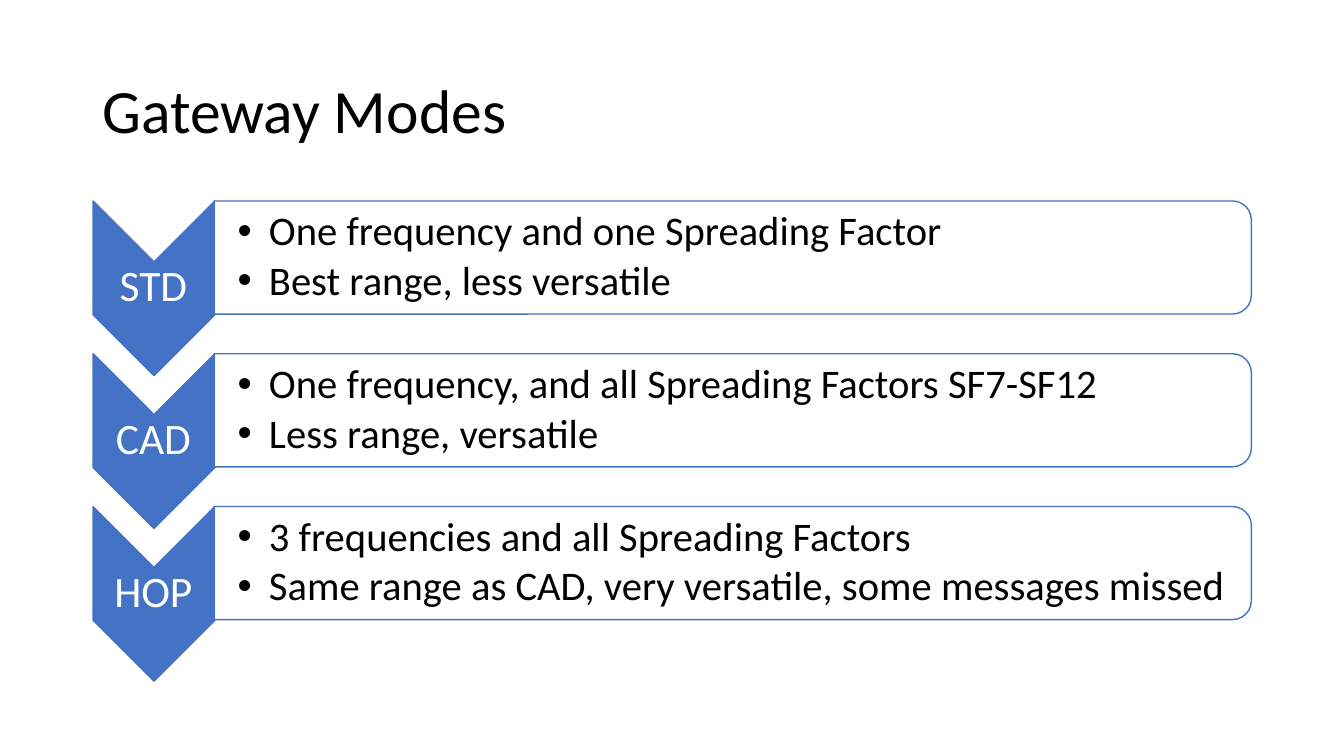
from dataclasses import dataclass

from lxml.etree import SubElement
from pptx import Presentation
from pptx.dml.color import RGBColor
from pptx.enum.shapes import MSO_SHAPE
from pptx.enum.text import MSO_ANCHOR, PP_ALIGN
from pptx.oxml.ns import qn
from pptx.util import Cm, Pt

COLOURS = {"accent": "4472C4", "panel": "FFFFFF", "label": "FFFFFF", "text": "000000"}
ROW_PITCH = 3.85
INDENT = 0.79


@dataclass(frozen=True)
class Area:
    left: float
    top: float
    width: float
    height: float

    def lowered(self, distance: float) -> "Area":
        return Area(self.left, self.top + distance, self.width, self.height)

    def lengths(self) -> tuple:
        return Cm(self.left), Cm(self.top), Cm(self.width), Cm(self.height)


@dataclass(frozen=True)
class Style:
    size: int
    colour: str
    left_inset: float
    inset: float
    align: PP_ALIGN = PP_ALIGN.LEFT
    space_after: int = 0
    bulleted: bool = False


@dataclass(frozen=True)
class Mode:
    name: str
    points: tuple[str, ...]


TITLE = Area(2.33, 1.01, 29.21, 3.68)
CHEVRON = Area(1.68, 5.73, 4.4, 3.07)
LABEL = Area(2.33, 6.59, 3.07, 1.32)
PANEL = Area(17.04, -6.58, 2.85, 26.14)
POINTS = Area(5.41, 5.2, 26.01, 2.57)

TITLE_STYLE = Style(44, "text", 0.25, 0.13)
LABEL_STYLE = Style(31, "label", 0.05, 0.05, PP_ALIGN.CENTER)
POINTS_STYLE = Style(29, "text", 0.58, 0.05, space_after=4, bulleted=True)

MODES = (
    Mode("STD", ("One frequency and one Spreading Factor", "Best range, less versatile")),
    Mode("CAD", ("One frequency, and all Spreading Factors SF7-SF12", "Less range, versatile")),
    Mode("HOP", ("3 frequencies and all Spreading Factors",
                 "Same range as CAD, very versatile, some messages missed")),
)


def colour(name: str) -> RGBColor:
    return RGBColor.from_string(COLOURS[name])


def apply(target, values: dict) -> None:
    for name, value in values.items():
        setattr(target, name, value)


def add_bullet(para) -> None:
    properties = para._p.get_or_add_pPr()
    properties.set("marL", str(Cm(INDENT)))
    properties.set("indent", str(-Cm(INDENT)))
    SubElement(properties, qn("a:buFont"), typeface="Arial")
    SubElement(properties, qn("a:buChar"), char="•")


def add_text(page, area: Area, lines: tuple[str, ...], style: Style) -> None:
    frame = page.shapes.add_textbox(*area.lengths()).text_frame
    apply(frame, {
        "word_wrap": True, "vertical_anchor": MSO_ANCHOR.MIDDLE,
        "margin_left": Cm(style.left_inset), "margin_right": Cm(style.inset),
        "margin_top": Cm(style.inset), "margin_bottom": Cm(style.inset),
    })
    for index, line in enumerate(lines):
        para = frame.add_paragraph() if index else frame.paragraphs[0]
        apply(para, {"alignment": style.align, "line_spacing": 0.9,
                     "space_after": Pt(style.space_after)})
        if style.bulleted:
            add_bullet(para)
        span = para.add_run()
        span.text = line
        apply(span.font, {"name": "Calibri", "size": Pt(style.size)})
        span.font.color.rgb = colour(style.colour)


def add_turned_shape(page, kind: MSO_SHAPE, area: Area, fill: str, opacity: int = 100) -> None:
    box = page.shapes.add_shape(kind, *area.lengths())
    box.rotation = 90
    box.shadow.inherit = False
    box.fill.solid()
    box.fill.fore_color.rgb = colour(fill)
    box.line.color.rgb = colour("accent")
    box.line.width = Pt(1)
    if opacity < 100:
        shade = box._element.spPr.find(qn("a:solidFill")).find(qn("a:srgbClr"))
        SubElement(shade, qn("a:alpha"), val=str(opacity * 1000))


def add_mode(page, mode: Mode, drop: float) -> None:
    add_turned_shape(page, MSO_SHAPE.CHEVRON, CHEVRON.lowered(drop), "accent")
    add_text(page, LABEL.lowered(drop), (mode.name,), LABEL_STYLE)
    add_turned_shape(page, MSO_SHAPE.ROUND_2_SAME_RECTANGLE, PANEL.lowered(drop), "panel", 90)
    add_text(page, POINTS.lowered(drop), mode.points, POINTS_STYLE)


def main() -> None:
    """Build the gateway modes slide and save it."""
    deck = Presentation()
    apply(deck, {"slide_width": Cm(33.87), "slide_height": Cm(19.05)})
    page = deck.slides.add_slide(deck.slide_layouts[6])
    add_text(page, TITLE, ("Gateway Modes",), TITLE_STYLE)
    for row, mode in enumerate(MODES):
        add_mode(page, mode, row * ROW_PITCH)
    deck.save("out.pptx")


if __name__ == "__main__":
    main()
